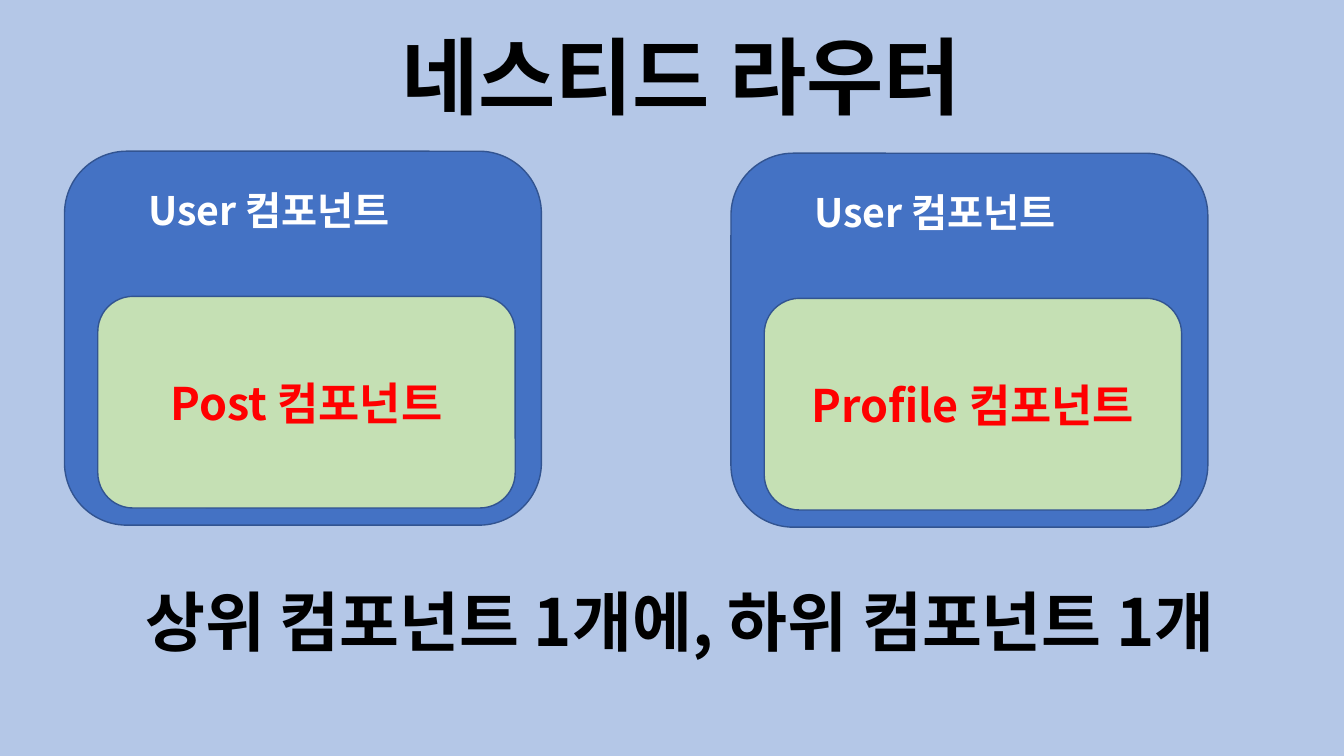
from dataclasses import dataclass

import pptx
import pptx.dml.color
import pptx.enum.shapes
import pptx.enum.text
import pptx.oxml.ns
import pptx.util
from lxml import etree

Inches = pptx.util.Inches
Align = pptx.enum.text.PP_ALIGN
Anchor = pptx.enum.text.MSO_ANCHOR
AutoSize = pptx.enum.text.MSO_AUTO_SIZE

FONT = "Noto Sans CJK KR"
BLACK, WHITE, RED = "000000", "FFFFFF", "FF0000"
BACKGROUND, BLUE, GREEN, OUTLINE = "B4C7E7", "4472C4", "C5E0B4", "325491"


@dataclass
class Nest:
    left: float
    top: float
    parent: str
    child: str


NESTS = [
    Nest(0.64, 1.5, "User 컴포넌트", "Post 컴포넌트"),
    Nest(7.25, 1.52, "User 컴포넌트", "Profile 컴포넌트"),
]


def set_fill(fill, color: str) -> None:
    fill.solid()
    fill.fore_color.rgb = pptx.dml.color.RGBColor.from_string(color)


def write(tf, text: str, size: float, color: str, align=Align.CENTER,
          anchor=Anchor.MIDDLE, spacing: float = 1.0) -> None:
    tf.word_wrap = True
    tf.auto_size = AutoSize.NONE
    tf.vertical_anchor = anchor
    p = tf.paragraphs[0]
    p.text = text
    p.alignment = align
    p.line_spacing = spacing
    p.font.size = pptx.util.Pt(size)
    p.font.bold = True
    p.font.name = FONT
    set_fill(p.font.fill, color)
    # Korean letters take the East Asian typeface
    props = p._p.pPr.find(pptx.oxml.ns.qn("a:defRPr"))
    etree.SubElement(props, pptx.oxml.ns.qn("a:ea"), typeface=FONT)


def add_box(s, left: float, top: float, width: float, height: float, color: str):
    sp = s.shapes.add_shape(pptx.enum.shapes.MSO_SHAPE.ROUNDED_RECTANGLE,
                            Inches(left), Inches(top), Inches(width), Inches(height))
    sp.shadow.inherit = False
    set_fill(sp.fill, color)
    set_fill(sp.line.fill, OUTLINE)
    sp.line.width = pptx.util.Pt(1)
    return sp


def add_text(s, left: float, top: float, width: float, height: float):
    return s.shapes.add_textbox(Inches(left), Inches(top),
                                Inches(width), Inches(height)).text_frame


def add_nest(s, nest: Nest) -> None:
    add_box(s, nest.left, nest.top, 4.73, 3.71, BLUE)
    child = add_box(s, nest.left + 0.33, nest.top + 1.44, 4.14, 2.1, GREEN)
    write(child.text_frame, nest.child, 32, RED)
    write(add_text(s, nest.left + 0.73, nest.top + 0.3, 3.59, 0.57),
          nest.parent, 28, WHITE, Align.LEFT, Anchor.TOP)


def main() -> None:
    prs = pptx.Presentation()
    prs.slide_width, prs.slide_height = Inches(13.33), Inches(7.5)
    s = prs.slides.add_slide(prs.slide_layouts.get_by_name("Title Only"))
    set_fill(s.background.fill, BACKGROUND)

    # Title
    title = s.shapes.title
    title.left, title.top = Inches(0.39), Inches(0.12)
    title.width, title.height = Inches(12.73), Inches(1.19)
    write(title.text_frame, "네스티드 라우터", 60, BLACK, anchor=Anchor.BOTTOM, spacing=0.9)

    # Parent components with their nested child
    for nest in NESTS:
        add_nest(s, nest)

    # Summary
    write(add_text(s, 0.38, 5.38, 12.73, 1.19), "상위 컴포넌트 1개에, 하위 컴포넌트 1개",
          46.5, BLACK, anchor=Anchor.BOTTOM, spacing=0.7)

    prs.save("out.pptx")


if __name__ == "__main__":
    main()
